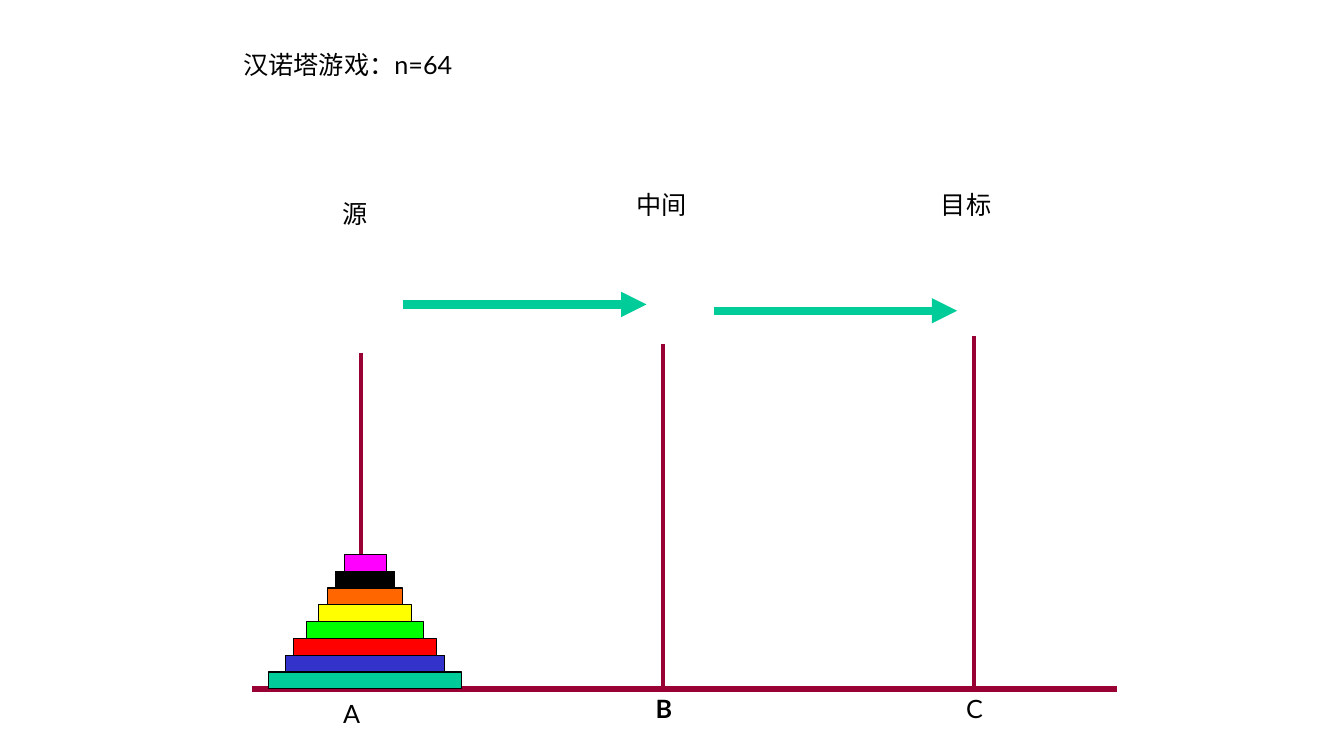
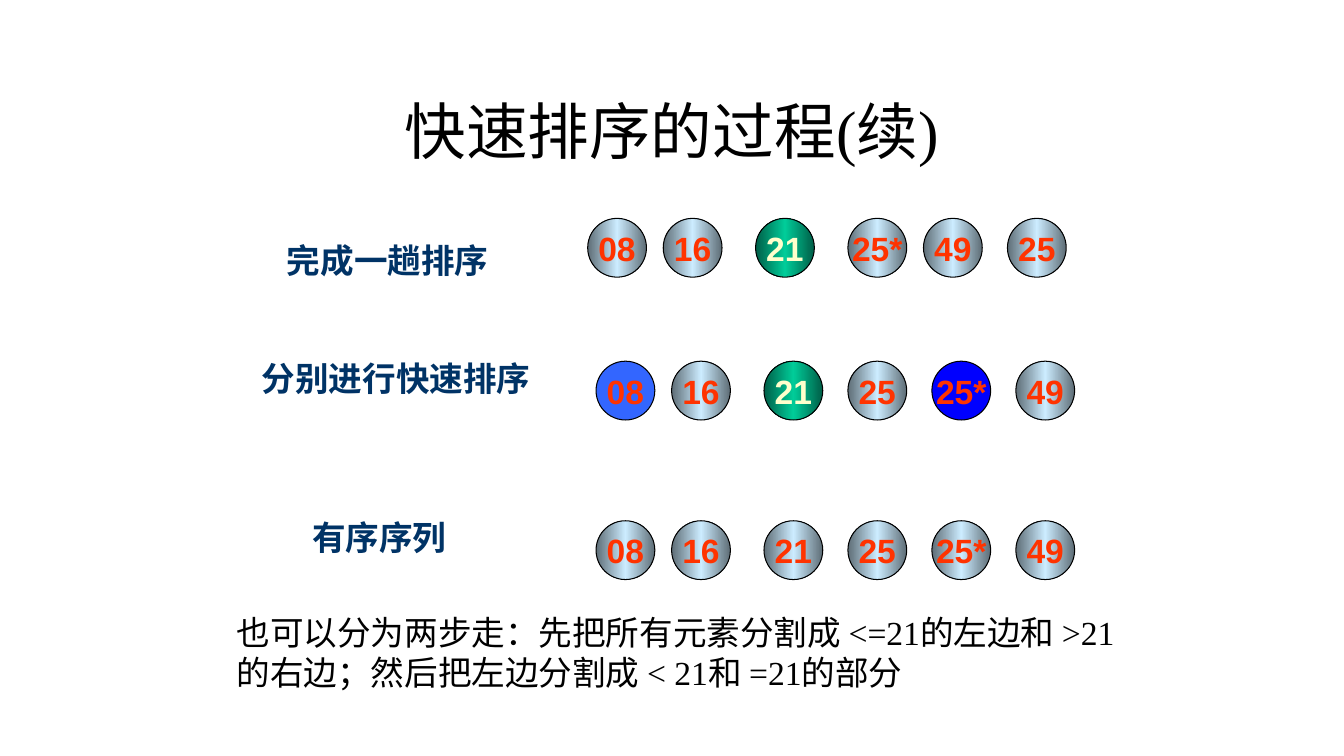
from copy import deepcopy
from dataclasses import dataclass

from pptx import Presentation
from pptx import util as u
from pptx.dml.color import RGBColor
from pptx.enum import shapes, text
from pptx.oxml.ns import qn
from pptx.oxml.xmlchemy import OxmlElement


@dataclass(frozen=True)
class Theme:
    ink: str = "000000"
    wood: str = "990033"
    green: str = "00CC99"
    heading: str = "003366"
    number: str = "FF3300"
    pivot_number: str = "FFFFCC"
    steel: tuple = ("5E6D76", "CCECFF", "5E6D76")
    pivot: tuple = ("005E47", "00CC99", "005E47")
    low_part: str = "3366FF"
    high_part: str = "0000FF"
    disks: tuple = ("00CC99", "3333CC", "FF0000", "00FF00",
                    "FFFF00", "FF6600", "000000", "FF00FF")
    sans: str = "Lato"
    serif: str = "Times New Roman"
    digits: str = "Arial"
    title: int = 44
    body: int = 24
    label: int = 18
    outline: float = 0.75


T = Theme()
CELL = u.Inches(1) / 12  # a slide is about 160 columns by 90 rows


def grid(*cells):
    return [u.Emu(round(n * CELL)) for n in cells]


class Deck:
    def __init__(self):
        self.prs = Presentation()
        self.prs.slide_width = u.Inches(13.34)
        self.prs.slide_height = u.Inches(7.5)
        self.s = None

    def new_slide(self):
        self.s = self.prs.slides.add_slide(self.prs.slide_layouts[6])

    def add_words(self, tf, words, font, size, color=T.ink, bold=False, center=False):
        p = tf.paragraphs[0]
        p.alignment = text.PP_ALIGN.CENTER if center else text.PP_ALIGN.LEFT
        r = p.add_run()
        r.text = words
        r.font.name, r.font.size, r.font.bold = font, u.Pt(size), bold
        r.font.color.rgb = RGBColor.from_string(color)

    def textbox(self, words, col, row, cols, rows, font, size, wrap=True, **style):
        tf = self.s.shapes.add_textbox(*grid(col, row, cols, rows)).text_frame
        tf.word_wrap = wrap
        tf.auto_size = text.MSO_AUTO_SIZE.SHAPE_TO_FIT_TEXT
        self.add_words(tf, words, font, size, **style)
        return tf

    def title(self, words):
        tf = self.textbox(words, 12, 8, 136, 15, T.serif, T.title, center=True)
        tf.auto_size = text.MSO_AUTO_SIZE.NONE
        tf.vertical_anchor = text.MSO_ANCHOR.MIDDLE

    def label(self, words, col, row, cols, bold=False):
        self.textbox(words, col, row, cols, 4.8, T.sans, T.label, wrap=False, bold=bold)

    def line(self, col, row, end_col, end_row, color, width, arrow=False):
        ends = grid(col, row, end_col, end_row)
        c = self.s.shapes.add_connector(shapes.MSO_CONNECTOR.STRAIGHT, *ends)
        c.line.color.rgb = RGBColor.from_string(color)
        c.line.width = u.Pt(width)
        if arrow:
            tip = OxmlElement("a:tailEnd")
            tip.set("type", "triangle")
            c._element.spPr.find(qn("a:ln")).append(tip)
        c._element.spPr.append(OxmlElement("a:effectLst"))

    def shape(self, kind, col, row, cols, rows, fill):
        """Draw an outlined shape; a tuple of three colours fills it with a gradient."""
        sp = self.s.shapes.add_shape(kind, *grid(col, row, cols, rows))
        sp.shadow.inherit = False
        sp.line.color.rgb = RGBColor.from_string(T.ink)
        sp.line.width = u.Pt(T.outline)
        if isinstance(fill, str):
            sp.fill.solid()
            sp.fill.fore_color.rgb = RGBColor.from_string(fill)
            return sp
        sp.fill.gradient()
        sp.fill.gradient_angle = 0
        stops = sp._element.spPr.find(".//" + qn("a:gsLst"))
        stops.insert(1, deepcopy(stops[0]))
        for stop, color, position in zip(sp.fill.gradient_stops, fill, (0, 0.5, 1)):
            stop.color.rgb = RGBColor.from_string(color)
            stop.position = position
        return sp

    def ball(self, words, col, row, fill):
        tf = self.shape(shapes.MSO_SHAPE.OVAL, col, row, 7, 7, fill).text_frame
        tf.word_wrap = False
        tf.vertical_anchor = text.MSO_ANCHOR.MIDDLE
        color = T.pivot_number if fill == T.pivot else T.number
        self.add_words(tf, words, T.digits, T.body, color, bold=True, center=True)


def hanoi_slide(deck):
    deck.new_slide()
    deck.label("汉诺塔游戏：n=64", 27.8, 5.3, 28.1)

    floor = 82
    deck.line(30, floor, 133, floor, T.wood, 4.5)
    for col, top in ((43, 42), (79, 41), (116, 40)):
        deck.line(col, top, col, floor, T.wood, 3)
    for col, row in ((48, 36.25), (85, 37)):
        deck.line(col, row, col + 29, row, T.green, 6, arrow=True)

    for words, col, row, cols in (("源", 39.6, 23, 5.4), ("中间", 74.6, 22, 8.4),
                                  ("目标", 110.9, 22, 8.4), ("A", 39.7, 82.5, 4.3),
                                  ("B", 76.9, 82, 4.4), ("C", 113.9, 82, 4.3)):
        deck.label(words, col, row, cols, bold=words == "B")

    center, thick = 43.5, 2
    widths = (23, 19, 17, 14, 11, 9, 7, 5)
    for level, (width, color) in enumerate(zip(widths, T.disks), 1):
        deck.shape(shapes.MSO_SHAPE.RECTANGLE, center - width / 2,
                   floor - thick * level, width, thick, color)


def quicksort_slide(deck):
    deck.new_slide()
    deck.title("快速排序的过程(续)")

    split_cols = (70, 79, 90, 101, 110, 120)
    sorted_cols = (71, 80, 91, 101, 111, 121)
    # heading, its column, row and width; then ball row, columns, numbers, special fills
    stages = (
        ("完成一趟排序", 33, 28, 27, 26, split_cols,
         "08 16 21 25* 49 25", {"21": T.pivot}),
        ("分别进行快速排序", 30, 42, 35, 43, sorted_cols,
         "08 16 21 25 25* 49",
         {"08": T.low_part, "21": T.pivot, "25*": T.high_part}),
        ("有序序列", 36, 61, 20, 62, sorted_cols, "08 16 21 25 25* 49", {}),
    )
    for heading, col, row, cols, ball_row, ball_cols, numbers, fills in stages:
        deck.textbox(heading, col, row, cols, 6, T.serif, T.body,
                     color=T.heading, bold=True)
        for number, ball_col in zip(numbers.split(), ball_cols):
            deck.ball(number, ball_col, ball_row, fills.get(number, T.steel))

    deck.textbox("也可以分为两步走：先把所有元素分割成 <=21的左边和 "
                 ">21的右边；然后把左边分割成 < 21和 =21的部分",
                 27, 72.25, 108, 10.8, T.serif, T.body)


def main():
    deck = Deck()
    hanoi_slide(deck)
    quicksort_slide(deck)
    deck.prs.save("out.pptx")


if __name__ == "__main__":
    main()
